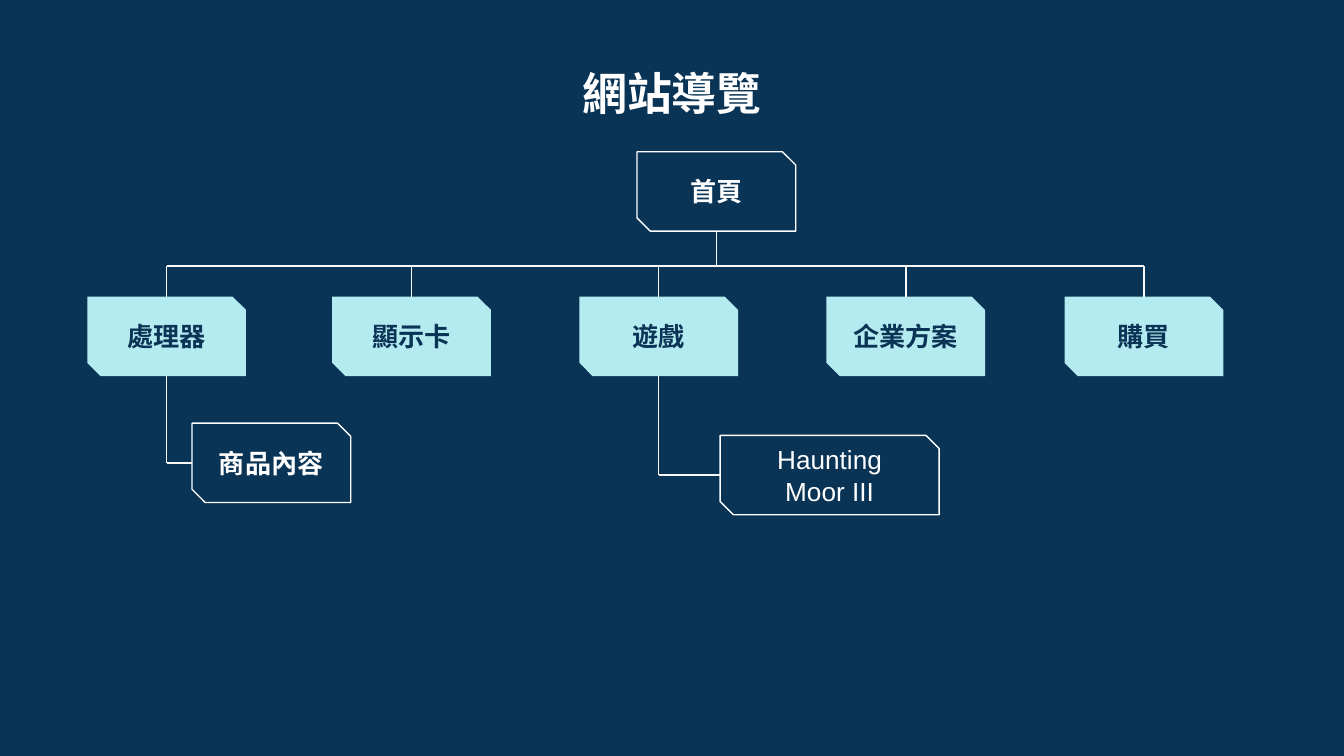
from lxml.etree import SubElement
from pptx import Presentation
from pptx.dml.color import RGBColor
from pptx.enum.shapes import MSO_CONNECTOR, MSO_SHAPE
from pptx.enum.text import MSO_ANCHOR, PP_ALIGN
from pptx.oxml.ns import qn
from pptx.util import Cm, Pt

NAVY, AQUA, WHITE, PALE = "0A3455", "B4EBF0", "FFFFFF", "F9F9F9"
HAN = "Noto Sans CJK SC"
WIDE, HIGH = 3, 1.5
BUS, ROW = 5.03, 5.61
MENU = [("處理器", 1.65), ("顯示卡", 6.28), ("遊戲", 10.95),
        ("企業方案", 15.62), ("購買", 20.12)]


def paint(target, color):
    target.rgb = RGBColor.from_string(color)


def style(frame, size, color, face, bold):
    for para in frame.paragraphs:
        para.alignment = PP_ALIGN.CENTER
        for run in para.runs:
            font = run.font
            font.size, font.name, font.bold = Pt(size), face, bold
            paint(font.color, color)
            SubElement(font._element, qn("a:ea")).set("typeface", face)


def add_title(slide, text):
    title = slide.shapes.title
    title.left, title.top = Cm(5.46), Cm(0.99)
    title.width, title.height = Cm(14.48), Cm(2.62)
    frame = title.text_frame
    frame.text = text
    frame.vertical_anchor = MSO_ANCHOR.TOP
    frame.margin_left = frame.margin_right = Cm(0.25)
    frame.margin_top = frame.margin_bottom = Cm(0.25)
    style(frame, 24, WHITE, HAN, True)


def add_box(slide, text, left, top, width=WIDE, fill=None, face=HAN, bold=True):
    box = slide.shapes.add_shape(MSO_SHAPE.SNIP_2_DIAG_RECTANGLE, Cm(left),
                                 Cm(top), Cm(width), Cm(HIGH))
    box.adjustments[0], box.adjustments[1] = 0, 0.167
    box.shadow.inherit = False
    if fill:
        box.fill.solid()
        paint(box.fill.fore_color, fill)
        box.line.fill.background()
    else:
        box.fill.background()
        paint(box.line.color, WHITE)
        box.line.width = Pt(0.75)
    frame = box.text_frame
    frame.text = text
    frame.word_wrap = True
    frame.vertical_anchor = MSO_ANCHOR.MIDDLE
    frame.margin_left = frame.margin_right = 0
    frame.margin_top = frame.margin_bottom = 0
    style(frame, 14, NAVY if fill else WHITE, face, bold)


def add_line(slide, x1, y1, x2, y2):
    line = slide.shapes.add_connector(MSO_CONNECTOR.STRAIGHT, Cm(x1), Cm(y1),
                                      Cm(x2), Cm(y2))
    paint(line.line.color, PALE)
    line.line.width = Pt(0.75)
    SubElement(line._element.spPr, qn("a:effectLst"))


def add_child(slide, text, stem, left, top, **look):
    mid = top + HIGH / 2
    add_box(slide, text, left, top, **look)
    add_line(slide, stem, ROW + HIGH, stem, mid)
    add_line(slide, left, mid, stem, mid)


def main():
    deck = Presentation()
    deck.slide_width, deck.slide_height = Cm(25.4), Cm(14.29)
    slide = deck.slides.add_slide(deck.slide_layouts[5])
    slide.background.fill.solid()
    paint(slide.background.fill.fore_color, NAVY)
    add_title(slide, "網站導覽")

    home, top = 12.04, 2.87
    add_box(slide, "首頁", home, top)
    add_line(slide, home + WIDE / 2, top + HIGH, home + WIDE / 2, BUS)

    stems = [left + WIDE / 2 for _, left in MENU]
    add_line(slide, stems[0], BUS, stems[-1], BUS)
    for (text, left), stem in zip(MENU, stems):
        add_box(slide, text, left, ROW, fill=AQUA)
        add_line(slide, stem, ROW, stem, BUS)

    add_child(slide, "商品內容", stems[0], 3.63, 8)
    add_child(slide, "Haunting\nMoor III", stems[2], 13.61, 8.23,
              width=4.14, face="Arial", bold=False)
    deck.save("out.pptx")


if __name__ == "__main__":
    main()
